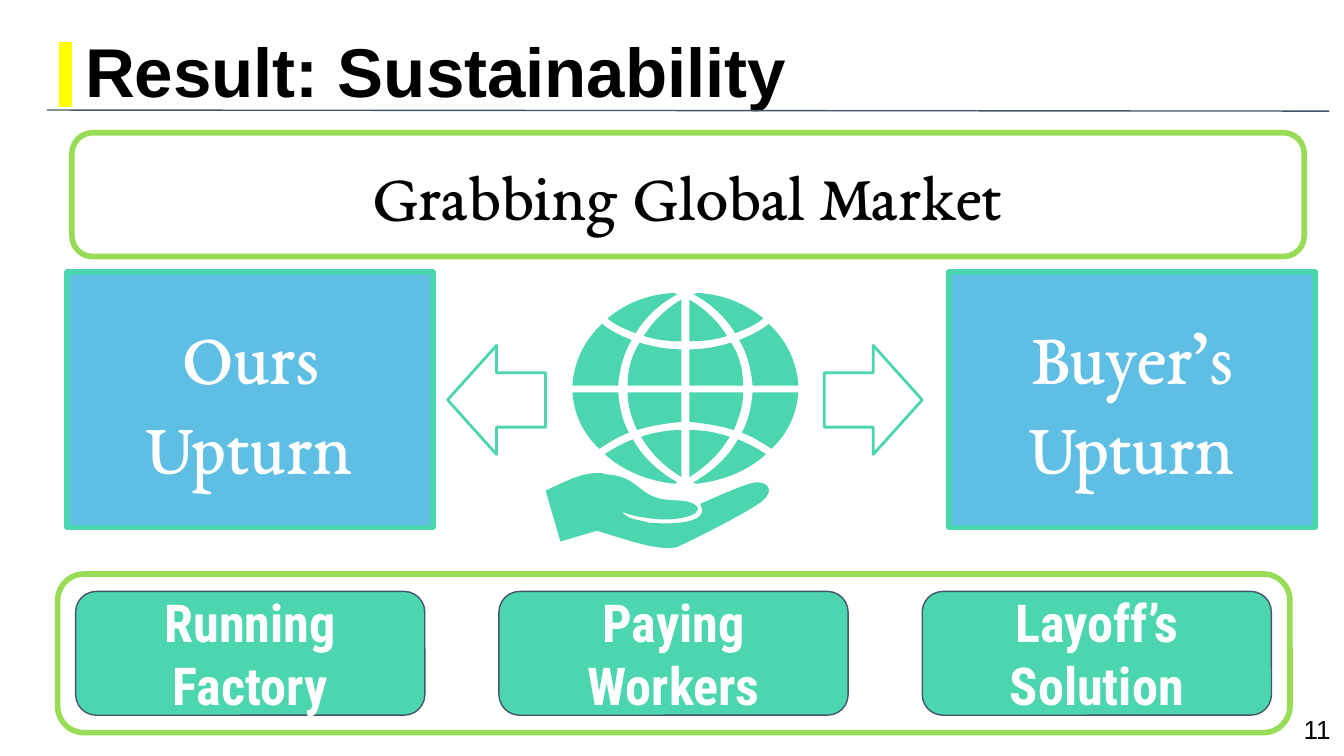
import dataclasses
import itertools

import pptx
import pptx.dml.color
import pptx.enum.shapes
import pptx.enum.text
import pptx.oxml.ns
import pptx.util
from lxml import etree

Cm, Pt = pptx.util.Cm, pptx.util.Pt
qn = pptx.oxml.ns.qn
SHAPE = pptx.enum.shapes.MSO_SHAPE
ALIGN = pptx.enum.text.PP_ALIGN
ANCHOR = pptx.enum.text.MSO_ANCHOR


@dataclasses.dataclass(frozen=True)
class Theme:
    black: str = "000000"
    white: str = "FFFFFF"
    mint: str = "4CD6B0"
    blue: str = "5EBEE4"
    lime: str = "98DC56"
    slate: str = "44546A"
    yellow: str = "FFFF00"
    sans: str = "Arial"
    serif: str = "EB Garamond"
    condensed: str = "Roboto Condensed"
    title: int = 37
    banner: int = 35
    panel: int = 40
    card: int = 28
    number: int = 14


T = Theme()

# Outlines in hundredths of an inch: a start point, then segments
# of one point (line) or three points (Bezier curve).
HAND = ("445 352, 431 352 420 359 406 365, 417 403, 444 395, "
        "462 400 490 411 504 407, 519 400 557 381 567 373, "
        "577 365 571 358 562 359, 554 360 528 372 521 375, "
        "530 391 495 390 483 389, 473 386 468 387 463 381, "
        "472 384 471 384 485 386, 510 389 529 380 514 374, "
        "506 371 496 374 485 369, 473 363 470 354 451 353, "
        "449 352 447 352 445 352")
GLOBE_LEFT = (
    "471 327, 463 330 456 334 450 338, 463 350 482 358 502 360, 504 359, "
    "490 351 478 340 471 327",
    "507 320, 496 320 486 322 477 325, 484 337 494 347 507 355",
    "460 292, 426 292, 427 308 434 323 446 334, 452 330 460 325 468 322, "
    "463 313 461 303 460 292",
    "507 292, 467 292, 467 302 470 311 474 320, 484 317 495 315 507 314",
    "476 255, 470 264 467 275 467 287, 507 287, 507 260, "
    "496 260 486 258 476 255",
    "448 241, 435 253 427 269 426 287, 460 287, 461 275 464 263 470 253, "
    "462 250 454 246 448 241",
    "507 223, 495 230 486 239 479 250, 488 253 497 254 507 254",
    "501 218, 482 219 465 226 452 237, 458 242 465 245 473 248, "
    "480 236 491 226 504 219",
)
GLOBE_AXIS = 510


def rgb(code):
    return pptx.dml.color.RGBColor.from_string(code)


def write(tf, text, *, font, size, color, bold=False, align=ALIGN.CENTER,
          anchor=ANCHOR.MIDDLE, inset=(0.25, 0.25), spacing=None):
    """Fill a text frame, one paragraph per line of text."""
    tf.word_wrap = True
    tf.auto_size = pptx.enum.text.MSO_AUTO_SIZE.NONE
    tf.vertical_anchor = anchor
    tf.margin_left = tf.margin_right = Cm(inset[0])
    tf.margin_top = tf.margin_bottom = Cm(inset[1])
    for i, line in enumerate(text.split("\n")):
        p = tf.add_paragraph() if i else tf.paragraphs[0]
        p.alignment = align
        if spacing:
            p.line_spacing = spacing
        r = p.add_run()
        r.text = line
        r.font.name, r.font.size, r.font.bold = font, Pt(size), bold
        r.font.color.rgb = rgb(color)


def paint(sp, fill=None, line=None, width=0.75):
    sp.shadow.inherit = False
    if fill:
        sp.fill.solid()
        sp.fill.fore_color.rgb = rgb(fill)
    else:
        sp.fill.background()
    if line:
        sp.line.color.rgb = rgb(line)
        sp.line.width = Pt(width)
    else:
        sp.line.fill.background()


def add_box(s, kind, x, y, w, h, **look):
    sp = s.shapes.add_shape(kind, Cm(x), Cm(y), Cm(w), Cm(h))
    paint(sp, **look)
    return sp


def add_title(s, text):
    sp = s.shapes.title
    sp.left, sp.top, sp.width, sp.height = Cm(1.43), Cm(0.71), Cm(24.1), Cm(1.5)
    write(sp.text_frame, text, font=T.sans, size=T.title, color=T.black,
          bold=True, align=ALIGN.LEFT, inset=(0.18, 0.1), spacing=0.8)


def add_rule(s, x1, y1, x2, y2):
    line = s.shapes.add_connector(pptx.enum.shapes.MSO_CONNECTOR.STRAIGHT,
                                  Cm(x1), Cm(y1), Cm(x2), Cm(y2))
    line.line.color.rgb = rgb(T.slate)
    line.line.width = Pt(0.75)
    etree.SubElement(line._element.spPr, qn("a:effectLst"))


def parse_outline(outline):
    """Split an outline into segments, each a list of points."""
    numbers = [[int(v) for v in part.split()] for part in outline.split(",")]
    return [list(zip(n[::2], n[1::2])) for n in numbers]


def mirror(piece):
    return [[(2 * GLOBE_AXIS - x, y) for x, y in seg] for seg in piece]


def add_globe(s):
    left = [parse_outline(outline) for outline in GLOBE_LEFT]
    pieces = [parse_outline(HAND)] + left + [mirror(piece) for piece in left]
    fb = s.shapes.build_freeform(*pieces[0][0][0], scale=Cm(2.54) / 100)
    for i, piece in enumerate(pieces):
        if i:
            fb.move_to(*piece[0][0])
        fb.add_line_segments([seg[-1] for seg in piece[1:]], close=True)
    sp = fb.convert_to_shape()
    paint(sp, fill=T.mint)

    # Bend the three-point segments into curves
    ends = [seg[-1] for piece in pieces for seg in piece]
    x0, y0 = (min(values) for values in zip(*ends))
    segments = itertools.chain.from_iterable(piece[1:] for piece in pieces)
    for node, seg in zip(list(sp._element.iter(qn("a:lnTo"))), segments):
        if len(seg) == 3:
            node.tag = qn("a:cubicBezTo")
            for i, (x, y) in enumerate(seg[:2]):
                pt = etree.Element(qn("a:pt"), x=str(x - x0), y=str(y - y0))
                node.insert(i, pt)


def add_panel(s, x, text):
    sp = add_box(s, SHAPE.RECTANGLE, x, 5.14, 6.91, 4.83,
                 fill=T.blue, line=T.mint, width=3)
    write(sp.text_frame, text, font=T.serif, size=T.panel, color=T.white,
          inset=(0.18, 0.1))


def add_card(s, x, text):
    sp = add_box(s, SHAPE.ROUNDED_RECTANGLE, x, 11.18, 6.6, 2.34,
                 fill=T.mint, line=T.slate)
    write(sp.text_frame, text, font=T.condensed, size=T.card, color=T.white,
          bold=True)


def add_frame(s, x, y, h):
    return add_box(s, SHAPE.ROUNDED_RECTANGLE, x, y, 23.29, h,
                   line=T.lime, width=3)


def main():
    prs = pptx.Presentation()
    prs.slide_width, prs.slide_height = Cm(25.4), Cm(14.29)
    s = prs.slides.add_slide(prs.slide_layouts[5])

    # Heading
    add_title(s, "Result: Sustainability")
    add_rule(s, 0.89, 2.08, 25.12, 2.1)

    # Globe in hand, with an arrow to each panel
    add_globe(s)
    for kind, x in ((SHAPE.LEFT_ARROW, 8.46), (SHAPE.RIGHT_ARROW, 15.58)):
        add_box(s, kind, x, 6.53, 1.85, 2.06,
                fill=T.white, line=T.mint, width=1.5)
    add_panel(s, 1.27, "Ours Upturn")
    add_panel(s, 17.94, "Buyer’s Upturn")

    # Cards inside the lower frame
    for i, text in enumerate(("Running\nFactory", "Paying\nWorkers",
                              "Layoff’s\nSolution")):
        add_card(s, 1.43 + 8 * i, text)
    add_frame(s, 1.09, 10.85, 3)

    # Upper banner
    banner = add_frame(s, 1.36, 2.51, 2.34)
    write(banner.text_frame, "Grabbing Global Market", font=T.serif,
          size=T.banner, color=T.black)

    # Title marker
    add_box(s, SHAPE.RECTANGLE, 1.1, 0.79, 0.28, 1.24,
            fill=T.yellow, line=T.white)

    # Slide number
    number = s.shapes.add_textbox(Cm(24.16), Cm(13.24), Cm(1.24), Cm(1.04))
    write(number.text_frame, "11", font=T.sans, size=T.number, color=T.black,
          align=ALIGN.RIGHT, anchor=ANCHOR.TOP)

    prs.save("out.pptx")


if __name__ == "__main__":
    main()
